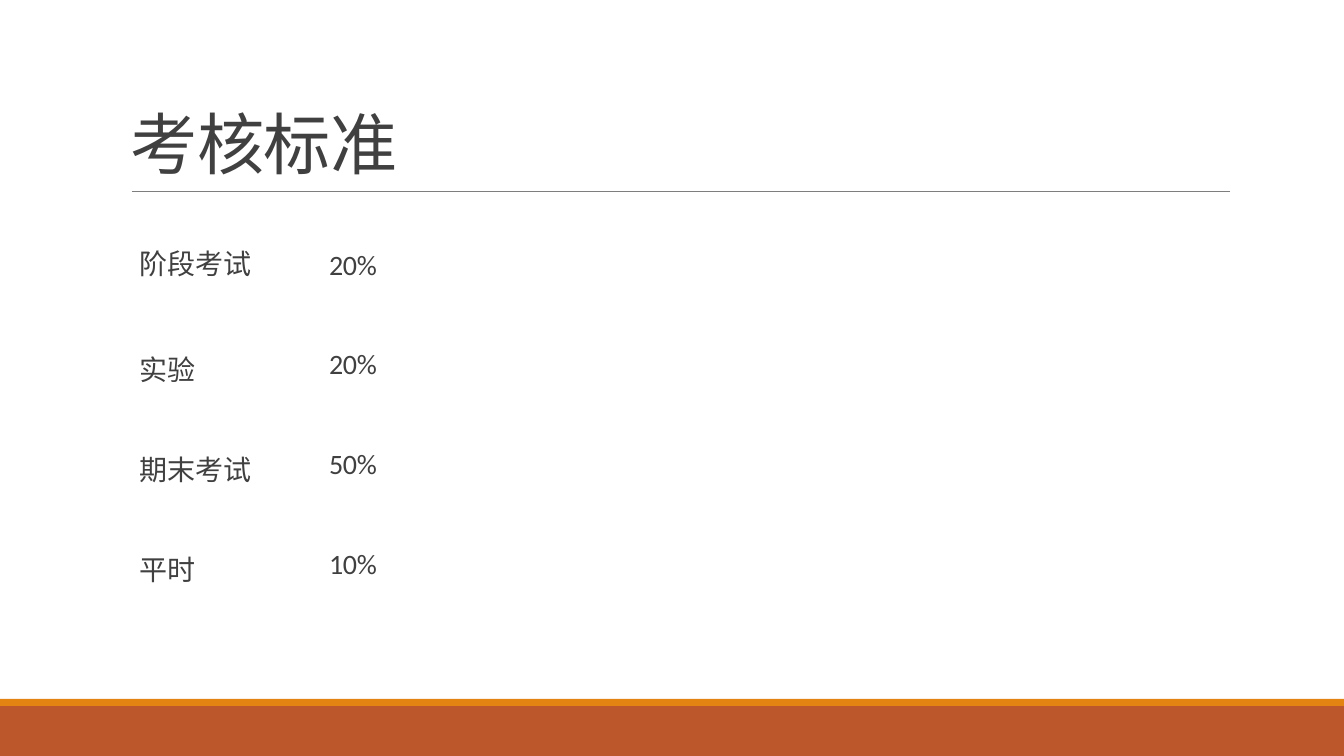
import pptx
import pptx.util
import pptx.dml.color
import pptx.enum.shapes
import pptx.enum.text
import pptx.oxml.ns
import lxml.etree

SCALE = 914400 / 100.8
COLORS = {"text": "404040", "rule": "7E7E7E", "band": "BC572C", "stripe": "E38312"}
CHINESE, LATIN = "Noto Sans CJK SC", "Calibri"


def px(length):
    return pptx.util.Emu(round(length * SCALE))


def write(paragraph, text, size, font_name, spacing):
    run = paragraph.add_run()
    run.text = text
    formats = {"size": pptx.util.Pt(size), "name": font_name, "bold": False}
    for name, value in formats.items():
        setattr(run.font, name, value)
    run.font.color.rgb = pptx.dml.color.RGBColor.from_string(COLORS["text"])
    # East Asian font and letter spacing in hundredths of a point
    properties = run._r.get_or_add_rPr()
    properties.set("spc", str(spacing))
    east_asian = lxml.etree.SubElement(properties, pptx.oxml.ns.qn("a:ea"))
    east_asian.set("typeface", font_name)


presentation = pptx.Presentation()
presentation.slide_width, presentation.slide_height = px(1344), px(756)
slide = presentation.slides.add_slide(presentation.slide_layouts[5])

# Footer bands
for color, top, height in [("band", 706, 50), ("stripe", 699, 7)]:
    shape = slide.shapes.add_shape(
        pptx.enum.shapes.MSO_SHAPE.RECTANGLE, px(0), px(top), px(1344), px(height))
    shape.shadow.inherit = False
    shape.fill.solid()
    shape.fill.fore_color.rgb = pptx.dml.color.RGBColor.from_string(COLORS[color])
    shape.line.fill.background()

# Rule under the title
rule = slide.shapes.add_connector(
    pptx.enum.shapes.MSO_CONNECTOR.STRAIGHT, px(132), px(191), px(1230), px(191))
rule.line.color.rgb = pptx.dml.color.RGBColor.from_string(COLORS["rule"])
rule.line.width = pptx.util.Pt(0.5)
lxml.etree.SubElement(rule._element.spPr, pptx.oxml.ns.qn("a:effectLst"))

# Title
title = slide.shapes.title
title_box = {"left": px(130), "top": px(102), "width": px(269), "height": px(84)}
for name, value in title_box.items():
    setattr(title, name, value)
title_frame = {
    "margin_left": px(1), "margin_top": px(1), "margin_right": 0, "margin_bottom": px(3),
    "word_wrap": True, "auto_size": pptx.enum.text.MSO_AUTO_SIZE.NONE,
    "vertical_anchor": pptx.enum.text.MSO_ANCHOR.BOTTOM,
}
for name, value in title_frame.items():
    setattr(title.text_frame, name, value)
title_paragraph = title.text_frame.paragraphs[0]
title_paragraph.alignment = pptx.enum.text.PP_ALIGN.LEFT
write(title_paragraph, "考核标准", 48, CHINESE, -60)

# Grading table
grades = [("阶段考试", "20%"), ("实验", "20%"), ("期末考试", "50%"), ("平时", "10%")]
row_heights = [66, 100, 100, 66]
column_widths = [153, 90]
table = slide.shapes.add_table(
    len(grades), 2, px(136), px(253), px(sum(column_widths)), px(sum(row_heights))).table
table.first_row = table.horz_banding = False
for column, width in zip(table.columns, column_widths):
    column.width = px(width)
for row_index, (row, height) in enumerate(zip(table.rows, row_heights)):
    row.height = px(height)
    for column_index, cell in enumerate(row.cells):
        is_label = column_index == 0
        margins = {
            "margin_left": px(4 if is_label else 0), "margin_right": px(0 if is_label else 2),
            "margin_top": px(29 if row_index else 0), "margin_bottom": 0,
        }
        for name, value in margins.items():
            setattr(cell, name, value)
        cell.fill.background()
        # Borders off on all four sides, placed ahead of the fill
        cell_properties = cell._tc.get_or_add_tcPr()
        for position, side in enumerate(["a:lnL", "a:lnR", "a:lnT", "a:lnB"]):
            border = lxml.etree.Element(pptx.oxml.ns.qn(side), w="0")
            lxml.etree.SubElement(border, pptx.oxml.ns.qn("a:noFill"))
            cell_properties.insert(position, border)
        paragraph = cell.text_frame.paragraphs[0]
        if row_index == 0:
            paragraph.line_spacing = pptx.util.Pt(21.2)
        if not is_label:
            paragraph.alignment = pptx.enum.text.PP_ALIGN.RIGHT
        write(paragraph, grades[row_index][column_index], 20,
              CHINESE if is_label else LATIN, -20)

presentation.save("out.pptx")
